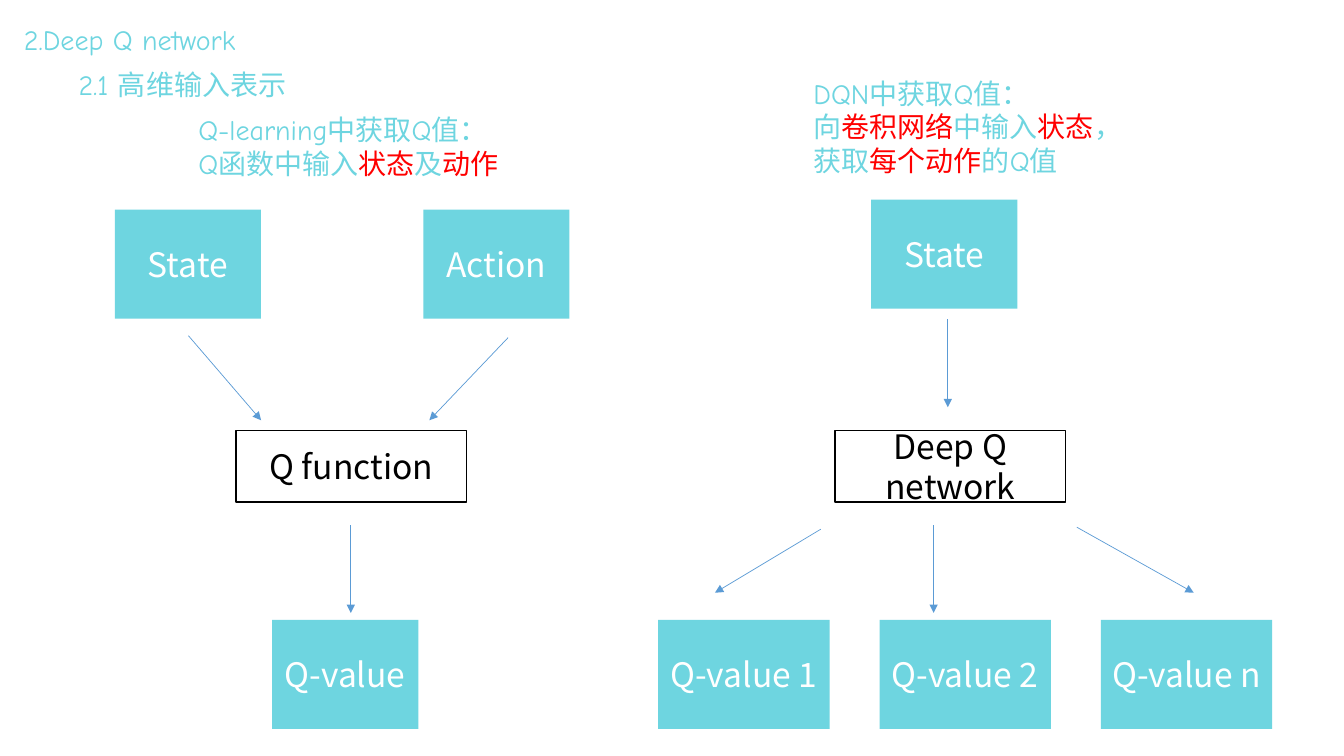
from pptx import Presentation
from pptx.dml.color import RGBColor
from pptx.enum.shapes import MSO_CONNECTOR as Conn, MSO_SHAPE as Geo
from pptx.enum.text import MSO_ANCHOR as Anchor, MSO_AUTO_SIZE as Fit, PP_ALIGN as Align
from pptx.oxml.ns import qn
from pptx.util import Pt
from lxml.etree import SubElement as Sub

TEAL = RGBColor(0x6E, 0xD5, 0xE0)
RED = RGBColor(0xFF, 0, 0)
BLUE = RGBColor(0x5B, 0x9B, 0xD5)
WHITE = RGBColor(0xFF, 0xFF, 0xFF)
BLACK = RGBColor(0, 0, 0)
HAND = "Comic Neue"
SANS = "Noto Sans CJK SC"
TILE = 104.4, 77.8
WIDE = 122.4, 77.8
CORE = 164.9, 51.1


def write(frame, lines, font=HAND, size=20, color=TEAL, align=Align.LEFT):
    """Fill a frame; each line is a list of parts, every second part is red."""
    frame.word_wrap = True
    for i, parts in enumerate(lines):
        para = frame.paragraphs[0] if i == 0 else frame.add_paragraph()
        para.alignment = align
        for j, part in enumerate(parts):
            run = para.add_run()
            run.text = part
            run.font.name = font
            run.font.size = Pt(size)
            run.font.color.rgb = RED if j % 2 else color
            Sub(run.font._element, qn("a:ea")).set("typeface", SANS)


def label(slide, x, y, w, h, lines):
    box = slide.shapes.add_textbox(Pt(x), Pt(y), Pt(w), Pt(h))
    write(box.text_frame, lines)
    box.text_frame.auto_size = Fit.SHAPE_TO_FIT_TEXT


def block(slide, x, y, size, text, core=False):
    w, h = size
    rect = slide.shapes.add_shape(Geo.RECTANGLE, Pt(x), Pt(y), Pt(w), Pt(h))
    rect.shadow.inherit = False
    rect.fill.solid()
    rect.fill.fore_color.rgb = WHITE if core else TEAL
    if core:
        rect.line.color.rgb = BLACK
        rect.line.width = Pt(1)
    else:
        rect.line.fill.background()
    rect.text_frame.vertical_anchor = Anchor.MIDDLE
    write(rect.text_frame, [[text]], font=SANS, size=24,
          color=BLACK if core else WHITE, align=Align.CENTER)


def arrow(slide, x1, y1, x2, y2):
    line = slide.shapes.add_connector(Conn.STRAIGHT, Pt(x1), Pt(y1), Pt(x2), Pt(y2))
    line.line.color.rgb = BLUE
    line.line.width = Pt(0.5)
    Sub(line.line._get_or_add_ln(), qn("a:tailEnd")).set("type", "triangle")
    Sub(line._element.spPr, qn("a:effectLst"))


def heads(slide, x, y):
    label(slide, x, y, 518.4, 31.7, [["2.Deep Q network"]])
    label(slide, x + 39, y + 32.4, 171.4, 31.7, [["2.1 高维输入表示"]])


def learn(slide, x, y):
    """Q-learning: state and action go in, one value comes out."""
    label(slide, x + 52.6, y, 243.4, 55.4,
          [["Q-learning中获取Q值："], ["Q函数中输入", "状态", "及", "动作"]])
    # Inputs
    for dx, text in (0, "State"), (220.4, "Action"):
        block(slide, x + dx, y + 72.8, TILE, text)
    arrow(slide, x + 52.6, y + 162.8, x + 104.5, y + 223.2)
    arrow(slide, x + 280.9, y + 164.2, x + 224.7, y + 223.2)
    # Function and output
    block(slide, x + 86.5, y + 230.4, CORE, "Q function", core=True)
    arrow(slide, x + 168.6, y + 298.1, x + 168.6, y + 360.8)
    block(slide, x + 112.4, y + 365.8, TILE, "Q-value")


def deep(slide, x, y):
    """DQN: the state goes in, one value per action comes out."""
    label(slide, x + 103.8, y, 243.4, 79.9,
          [["DQN中获取Q值："],
           ["向", "卷积网络", "中输入", "状态", "，获取", "每个动作", "的Q值"]])
    # Input and network
    block(slide, x + 152.1, y + 91.6, TILE, "State")
    arrow(slide, x + 206.8, y + 177.2, x + 206.8, y + 239.9)
    block(slide, x + 126.2, y + 256.4, CORE, "Deep Q network", core=True)
    # Outputs
    arrow(slide, x + 116.1, y + 327, x + 40.5, y + 372.4)
    arrow(slide, x + 196.7, y + 324.1, x + 196.7, y + 386.8)
    arrow(slide, x + 299, y + 325.6, x + 382.5, y + 372.4)
    for i, tag in enumerate("12n"):
        block(slide, x + 158.1 * i, y + 391.8, WIDE, f"Q-value {tag}")


def main():
    deck = Presentation()
    deck.slide_width, deck.slide_height = Pt(960), Pt(540)
    slide = deck.slides.add_slide(deck.slide_layouts[6])
    heads(slide, 10, 12.2)
    learn(slide, 82, 77)
    deep(slide, 470.2, 51)
    deck.save("out.pptx")


if __name__ == "__main__":
    main()
